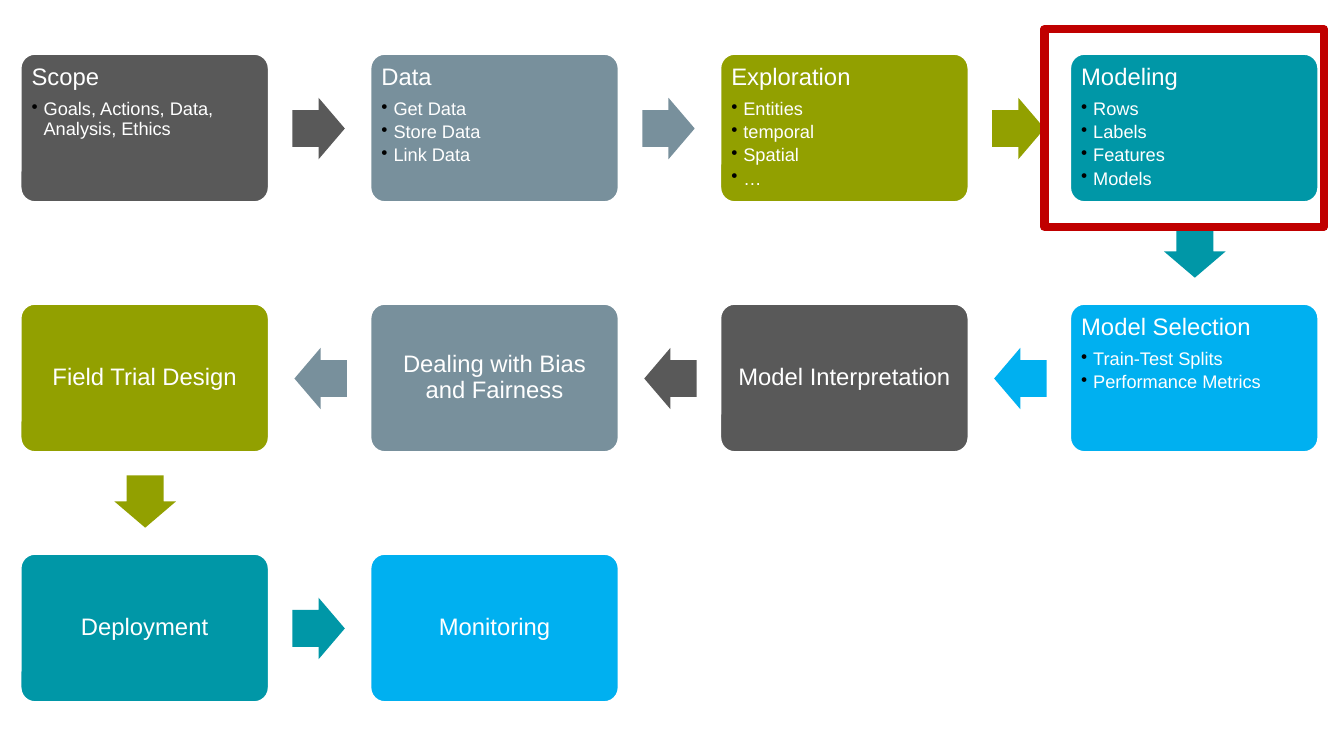
from lxml import etree
from pptx import Presentation
from pptx import util as u
from pptx.dml.color import RGBColor
from pptx.enum import shapes, text
from pptx.oxml.ns import qn

COLORS = {
    "gray": "595959", "slate": "78909C", "olive": "92A000", "teal": "0097A7",
    "sky": "00B0F0", "white": "FFFFFF", "black": "000000", "red": "C00000",
}
STEPS = [
    ("Scope", "gray", ["Goals, Actions, Data, Analysis, Ethics"]),
    ("Data", "slate", ["Get Data", "Store Data", "Link Data"]),
    ("Exploration", "olive", ["Entities", "temporal", "Spatial", "…"]),
    ("Modeling", "teal", ["Rows", "Labels", "Features", "Models"]),
    ("Model Selection", "sky", ["Train-Test Splits", "Performance Metrics"]),
    ("Model Interpretation", "gray", []),
    ("Dealing with Bias and Fairness", "slate", []),
    ("Field Trial Design", "olive", []),
    ("Deployment", "teal", []),
    ("Monitoring", "sky", []),
]
COLUMNS = 4
LEFT, TOP = 0.2, 0.53
STEP_WIDTH, STEP_HEIGHT = 2.47, 1.48
PITCH_X, PITCH_Y = 3.47, 2.48
ARROW_WIDTH, ARROW_HEIGHT = 0.52, 0.61
ARROW_OFFSETS = {0: (2.7, 0.44), 90: (0.98, 1.66), 180: (-0.75, 0.44)}


def rgb(name):
    return RGBColor.from_string(COLORS[name])


class ProcessSlide:
    """Draws the steps of a winding process on one slide."""

    def __init__(self, slide, font="Arial"):
        self.slide = slide
        self.font = font

    def shape(self, preset, left, top, width, height, fill=None, line=None, weight=0):
        item = self.slide.shapes.add_shape(
            preset, *(u.Inches(n) for n in (left, top, width, height)))
        item.shadow.inherit = False
        if fill:
            item.fill.solid()
            item.fill.fore_color.rgb = rgb(fill)
        else:
            item.fill.background()
        if line:
            item.line.color.rgb = rgb(line)
            item.line.width = u.Pt(weight)
        else:
            item.line.fill.background()
        return item

    def add_words(self, paragraph, words, size=17, after=6.8, centered=False, bullet=False):
        paragraph.alignment = text.PP_ALIGN.CENTER if centered else text.PP_ALIGN.LEFT
        paragraph.line_spacing = 0.9
        paragraph.space_after = u.Pt(after)
        if bullet:
            paragraph.level = 1
            properties = paragraph._p.get_or_add_pPr()
            properties.set("marL", str(u.Inches(0.12)))
            properties.set("indent", str(u.Inches(-0.12)))
            tint = etree.SubElement(properties, qn("a:buClr"))
            etree.SubElement(tint, qn("a:srgbClr"), val=COLORS["black"])
            etree.SubElement(properties, qn("a:buChar"), char="•")
        run = paragraph.add_run()
        run.text = words
        run.font.name = self.font
        run.font.size = u.Pt(size)
        run.font.color.rgb = rgb("white")

    def step(self, left, top, heading, color, details):
        box = self.shape(shapes.MSO_SHAPE.ROUNDED_RECTANGLE, left, top,
                         STEP_WIDTH, STEP_HEIGHT, color, "white", 2)
        box.adjustments[0] = 0.1
        frame = box.text_frame
        frame.word_wrap = True
        frame.margin_left = frame.margin_right = u.Inches(0.07)
        frame.margin_top = frame.margin_bottom = u.Inches(0.07)
        frame.vertical_anchor = text.MSO_ANCHOR.TOP if details else text.MSO_ANCHOR.MIDDLE
        self.add_words(frame.paragraphs[0], heading, centered=not details)
        for detail in details:
            self.add_words(frame.add_paragraph(), detail, size=13, after=2.4, bullet=True)

    def arrow(self, left, top, angle, color):
        across, down = ARROW_OFFSETS[angle]
        item = self.shape(shapes.MSO_SHAPE.RIGHT_ARROW, left + across, top + down,
                          ARROW_WIDTH, ARROW_HEIGHT, color)
        item.adjustments[0], item.adjustments[1] = 0.6, 0.5
        item.rotation = angle

    def process(self, steps):
        for index, (heading, color, details) in enumerate(steps):
            row, column = divmod(index, COLUMNS)
            backward = row % 2 == 1
            row_ends = column == COLUMNS - 1
            if backward:
                column = COLUMNS - 1 - column
            left, top = LEFT + column * PITCH_X, TOP + row * PITCH_Y
            self.step(left, top, heading, color, details)
            if index < len(steps) - 1:
                angle = 90 if row_ends else 180 if backward else 0
                self.arrow(left, top, angle, color)

    def highlight(self, left, top, width, height):
        self.shape(shapes.MSO_SHAPE.RECTANGLE, left, top, width, height,
                   line="red", weight=6)


def main():
    deck = Presentation()
    deck.slide_width, deck.slide_height = u.Inches(13.33), u.Inches(7.5)
    workflow = ProcessSlide(deck.slides.add_slide(deck.slide_layouts[6]))
    workflow.process(STEPS)
    workflow.highlight(10.36, 0.29, 2.77, 1.96)
    deck.save("out.pptx")


if __name__ == "__main__":
    main()
